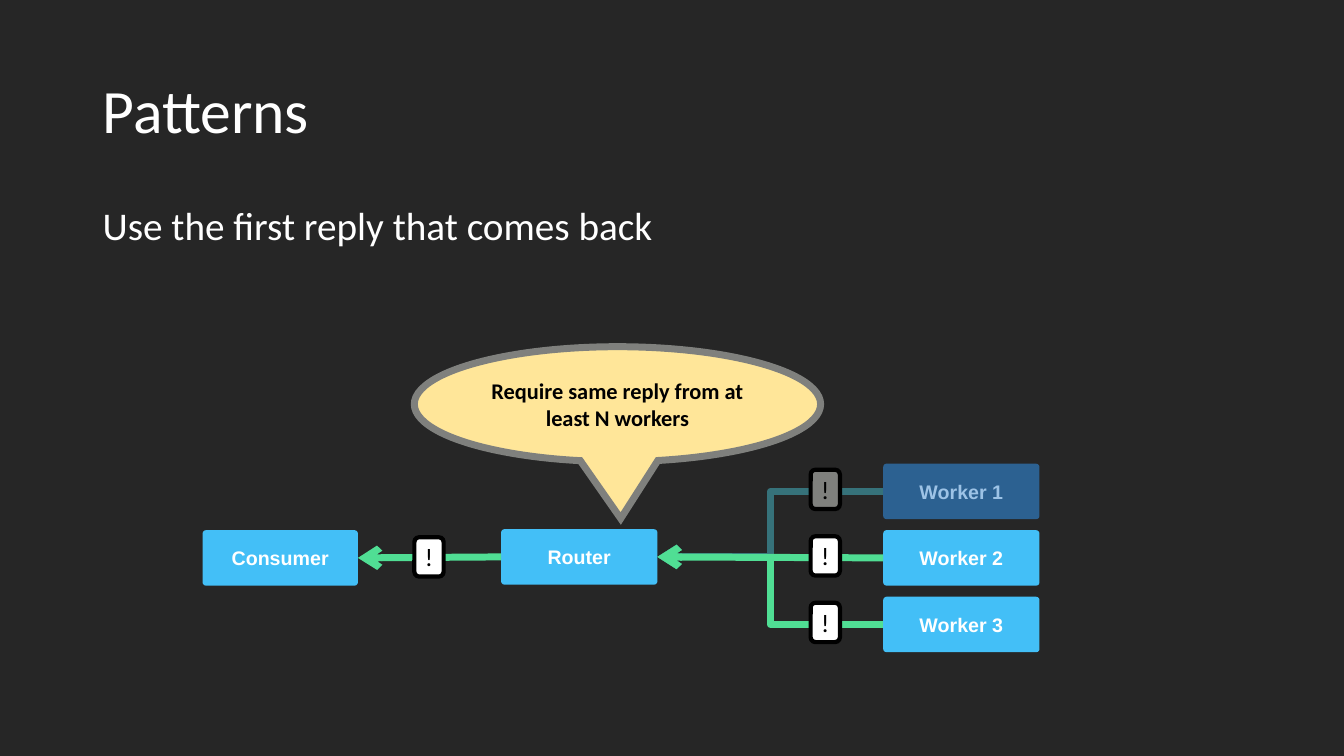
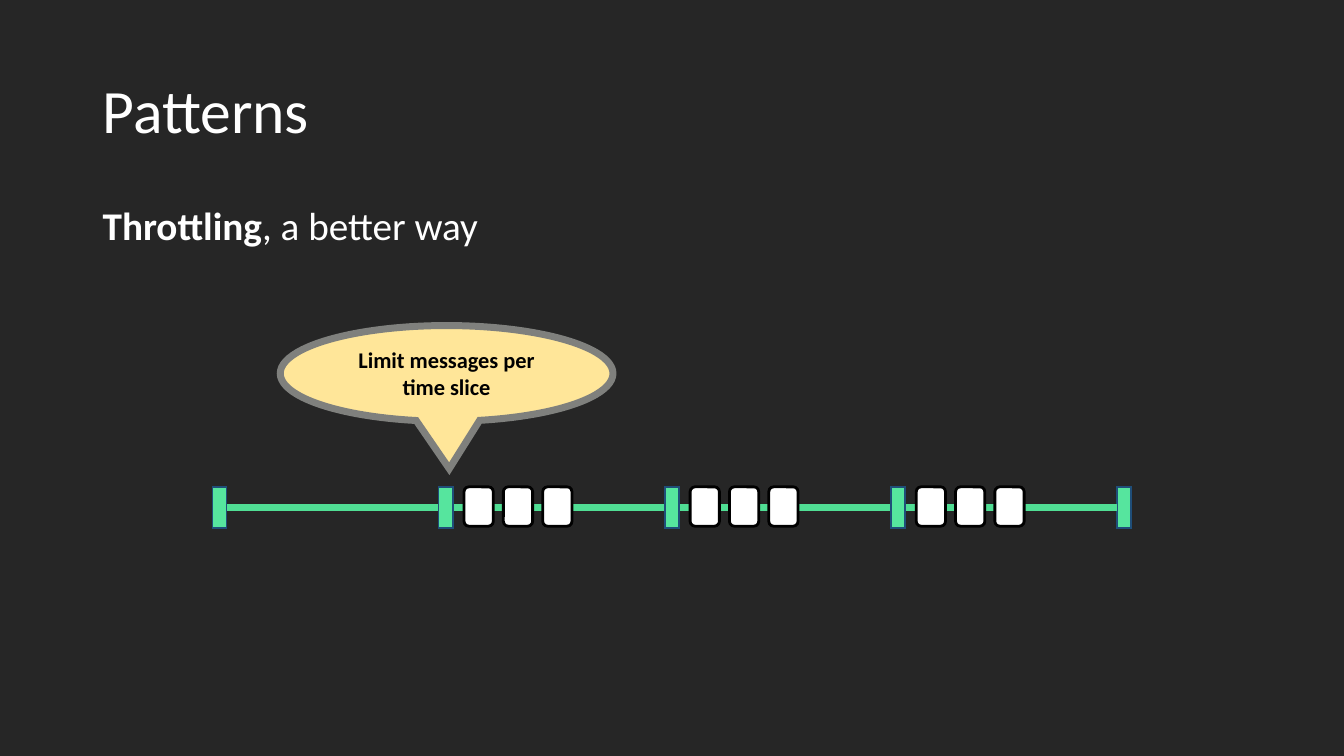
from dataclasses import dataclass

import pptx
import pptx.dml.color
import pptx.enum.shapes
import pptx.enum.text
import pptx.oxml
import pptx.oxml.ns
import pptx.util

Inches = pptx.util.Inches
SHAPE = pptx.enum.shapes.MSO_SHAPE
CONNECTOR = pptx.enum.shapes.MSO_CONNECTOR
ANCHOR = pptx.enum.text.MSO_ANCHOR
ALIGN = pptx.enum.text.PP_ALIGN


@dataclass(frozen=True)
class Theme:
    background: str = "262626"
    white: str = "FFFFFF"
    black: str = "000000"
    gray: str = "7F807D"
    node: str = "43BFF7"
    node_faded: str = "2C6191"
    label_faded: str = "9DC3E6"
    flow: str = "50DE94"
    flow_faded: str = "36727A"
    tick: str = "56E59E"
    tick_edge: str = "1F4E79"
    callout: str = "FFE699"
    text_font: str = "Calibri"
    node_font: str = "Arial"
    title_size: int = 44
    body_size: int = 28
    token_size: int = 18
    callout_size: int = 16
    node_size: int = 14
    flow_width: int = 5


THEME = Theme()
TOKEN_WIDTH, TOKEN_HEIGHT = 0.29, 0.39
NODE_HEIGHT = 0.55


def rgb(color):
    return pptx.dml.color.RGBColor.from_string(color)


def append_drawing(parent, tag, **attributes):
    element = pptx.oxml.parse_xml(f"<a:{tag} {pptx.oxml.ns.nsdecls('a')}/>")
    for name, value in attributes.items():
        element.set(name, value)
    parent.append(element)


def write_text(shape, *runs, size, color, font=THEME.text_font, bold=False,
               align=ALIGN.CENTER, anchor=ANCHOR.MIDDLE, spacing=None):
    """Fill a shape with one paragraph; a run is a string or a (string, bold) pair."""
    frame = shape.text_frame
    frame.word_wrap = True
    frame.vertical_anchor = anchor
    paragraph = frame.paragraphs[0]
    paragraph.alignment = align
    paragraph.line_spacing = spacing
    for part in runs:
        words, weight = (part, bold) if isinstance(part, str) else part
        run = paragraph.add_run()
        run.text = words
        run.font.name = font
        run.font.size = pptx.util.Pt(size)
        run.font.bold = weight
        run.font.color.rgb = rgb(color)


def add_figure(shapes, preset, left, top, width, height, fill,
               edge=None, edge_width=1):
    figure = shapes.add_shape(preset, Inches(left), Inches(top),
                              Inches(width), Inches(height))
    figure.shadow.inherit = False
    figure.fill.solid()
    figure.fill.fore_color.rgb = rgb(fill)
    if edge is None:
        figure.line.fill.background()
    else:
        figure.line.color.rgb = rgb(edge)
        figure.line.width = pptx.util.Pt(edge_width)
        append_drawing(figure.line._get_or_add_ln(), "miter", lim="800000")
    return figure


def add_node(shapes, label, left, top, width=1.55,
             fill=THEME.node, color=THEME.white):
    node = add_figure(shapes, SHAPE.ROUNDED_RECTANGLE, left, top,
                      width, NODE_HEIGHT, fill)
    node.adjustments[0] = 0.06
    write_text(node, label, size=THEME.node_size, color=color,
               font=THEME.node_font, bold=True)
    return node


def add_token(shapes, left, top, mark=None, fill=THEME.white, edge_width=2):
    """Draw one message, with its mark if it has one."""
    token = add_figure(shapes, SHAPE.ROUNDED_RECTANGLE, left, top,
                       TOKEN_WIDTH, TOKEN_HEIGHT, fill, THEME.black, edge_width)
    if mark:
        frame = token.text_frame
        frame.margin_left = frame.margin_right = 0
        frame.margin_top = frame.margin_bottom = 0
        write_text(token, mark, size=THEME.token_size, color=THEME.black)


def add_callout(shapes, words, left, top, width, height):
    callout = add_figure(shapes, SHAPE.OVAL_CALLOUT, left, top, width, height,
                         THEME.callout, THEME.gray, 5)
    callout.adjustments[0] = 0.008
    callout.adjustments[1] = 0.995
    write_text(callout, words, size=THEME.callout_size, color=THEME.black,
               bold=True)


def link(shapes, start, end, kind=CONNECTOR.STRAIGHT, color=THEME.flow,
         arrow=True):
    """Join the right side of start to the left side of end, arrow at start."""
    flow = shapes.add_connector(
        kind, start.left + start.width, start.top + start.height // 2,
        end.left, end.top + end.height // 2)
    flow.begin_connect(start, 3)
    flow.end_connect(end, 1)
    flow.line.color.rgb = rgb(color)
    flow.line.width = pptx.util.Pt(THEME.flow_width)
    if arrow:
        append_drawing(flow.line._get_or_add_ln(), "headEnd", type="arrow")
    append_drawing(flow._element.spPr, "effectLst")


def add_pattern_slide(deck, *statement):
    """Add a slide with the shared title and its statement; return its shapes."""
    shapes = deck.slides.add_slide(deck.slide_layouts[6]).shapes
    for top, height, runs, size, anchor in (
            (0.4, 1.45, ["Patterns"], THEME.title_size, ANCHOR.MIDDLE),
            (2, 4.76, statement, THEME.body_size, ANCHOR.TOP)):
        box = shapes.add_textbox(Inches(0.92), Inches(top),
                                 Inches(11.5), Inches(height))
        write_text(box, *runs, size=size, color=THEME.white,
                   align=ALIGN.LEFT, anchor=anchor, spacing=0.9)
    return shapes


def build_first_reply(deck):
    shapes = add_pattern_slide(deck, "Use the first reply that comes back")
    worker_left, worker_top, worker_pitch = 8.76, 4.6, 0.66
    token_left, token_top = 8.04, 4.66

    consumer = add_node(shapes, "Consumer", 2.01, 5.26, width=1.54)
    router = add_node(shapes, "Router", 4.97, 5.25)
    faded = add_node(shapes, "Worker 1", worker_left, worker_top,
                     fill=THEME.node_faded, color=THEME.label_faded)
    middle, last = [
        add_node(shapes, f"Worker {row + 1}", worker_left,
                 worker_top + row * worker_pitch) for row in (1, 2)]

    link(shapes, router, last, CONNECTOR.ELBOW)
    link(shapes, router, faded, CONNECTOR.ELBOW, THEME.flow_faded)
    link(shapes, router, middle)
    link(shapes, consumer, router)

    for row, fill in enumerate((THEME.gray, THEME.white, THEME.white)):
        add_token(shapes, token_left, token_top + row * worker_pitch, "!",
                  fill, edge_width=3)
    add_token(shapes, 4.11, 5.33, "!", edge_width=3)
    add_callout(shapes, "Require same reply from at least N workers",
                4.11, 3.44, 4.03, 1.14)


def build_throttling(deck):
    shapes = add_pattern_slide(deck, ("Throttling", True), ", a better way")
    slices, first_tick, last_tick, top = 4, 2.11, 11.08, 4.83
    slice_width = (last_tick - first_tick) / slices
    tick_lefts = [first_tick + i * slice_width for i in range(slices + 1)]
    timeline = shapes.add_group_shape().shapes

    def add_tick(left):
        return add_figure(timeline, SHAPE.RECTANGLE, left, top, 0.14, 0.41,
                          THEME.tick, THEME.tick_edge)

    link(timeline, add_tick(tick_lefts[0]), add_tick(tick_lefts[-1]),
         arrow=False)
    for tick_left in tick_lefts[1:-1]:
        add_tick(tick_left)
        messages = shapes.add_group_shape().shapes
        for i in range(3):
            add_token(messages, tick_left + 0.25 + i * 0.39, top)
    add_callout(shapes, "Limit messages per time slice", 2.78, 3.23, 3.3, 0.95)


def main():
    deck = pptx.Presentation()
    deck.slide_width, deck.slide_height = Inches(13.33), Inches(7.5)
    backdrop = deck.slide_master.background.fill
    backdrop.solid()
    backdrop.fore_color.rgb = rgb(THEME.background)
    build_first_reply(deck)
    build_throttling(deck)
    deck.save("out.pptx")


if __name__ == "__main__":
    main()
